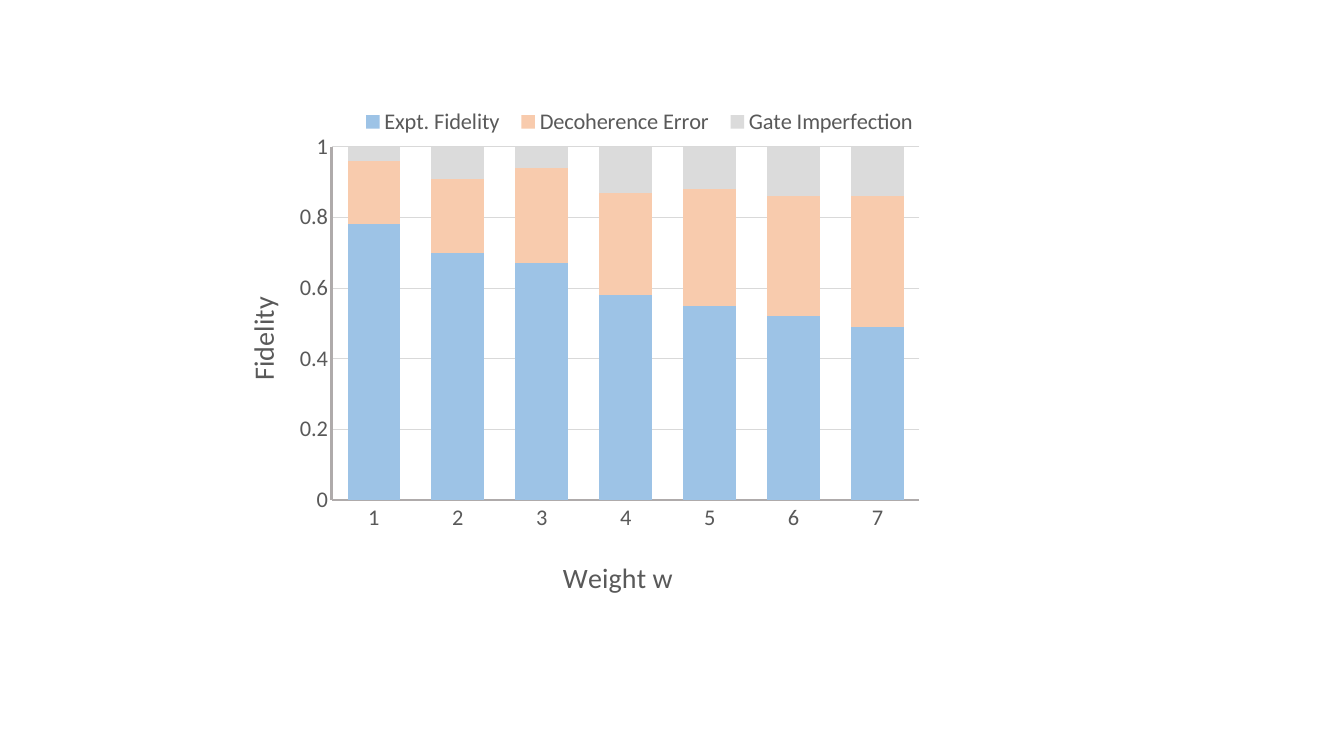
import pptx
import pptx.chart.data
import pptx.dml.color
import pptx.enum.chart
import pptx.oxml
import pptx.oxml.ns
import pptx.util

Cm, Pt = pptx.util.Cm, pptx.util.Pt
FONT = "Calibri"
TEXT, AXIS, GRID = "595959", "AFABAB", "D9D9D9"
WEIGHTS = ["1", "2", "3", "4", "5", "6", "7"]
SERIES = [
    ("Expt. Fidelity", "9DC3E6", (0.78, 0.70, 0.67, 0.58, 0.55, 0.52, 0.49)),
    ("Decoherence Error", "F8CBAD", (0.18, 0.21, 0.27, 0.29, 0.33, 0.34, 0.37)),
    ("Gate Imperfection", "DBDBDB", (0.04, 0.09, 0.06, 0.13, 0.12, 0.14, 0.14)),
]


def rgb(hex_color):
    """Turn a hex string into a colour."""
    return pptx.dml.color.RGBColor.from_string(hex_color)


def set_font(font, size, color=TEXT):
    """Set the face, size and colour of a font."""
    font.name, font.size, font.bold = FONT, Pt(size), False
    font.color.rgb = rgb(color)


def set_line(line, color, width):
    """Set the colour and width of a line."""
    line.color.rgb = rgb(color)
    line.width = Pt(width)


def set_layout(element, index, target=None, **fractions):
    """Place a chart part by fractions of the chart's size."""
    for old in element.xpath("c:layout"):
        element.remove(old)
    items = [("layoutTarget", target)] if target else []
    items += [(f"{key}Mode", "edge") for key in "xy"]
    items += fractions.items()
    body = "".join(f'<c:{tag} val="{value}"/>' for tag, value in items)
    ns = pptx.oxml.ns.nsdecls("c")
    xml = f"<c:layout {ns}><c:manualLayout>{body}</c:manualLayout></c:layout>"
    element.insert(index, pptx.oxml.parse_xml(xml))


def style_axis(axis, title, x, y):
    """Style an axis and place its title."""
    axis.major_tick_mark = axis.minor_tick_mark = pptx.enum.chart.XL_TICK_MARK.NONE
    set_font(axis.tick_labels.font, 16)
    set_line(axis.format.line, AXIS, 2)
    p = axis.axis_title.text_frame.paragraphs[0]
    p.text = title
    set_font(p.font, 20)
    set_layout(axis.axis_title.format.element if hasattr(axis.axis_title.format, "element")
               else axis.axis_title.element, 1, x=x, y=y)


def style_value_axis(axis):
    """Set the scale, gridlines and upright title of the value axis."""
    axis.minimum_scale, axis.maximum_scale, axis.major_unit = 0, 1, 0.2
    axis.tick_labels.number_format = "General"
    axis.tick_labels.number_format_is_linked = False
    axis.has_major_gridlines = True
    set_line(axis.major_gridlines.format.line, GRID, 0.75)
    for body in axis.axis_title.element.xpath(".//a:bodyPr"):
        body.set("rot", "-5400000")
        body.set("vert", "horz")


def add_fidelity_chart(slide):
    """Add the stacked columns of fidelity by weight."""
    data = pptx.chart.data.CategoryChartData()
    data.categories = WEIGHTS
    for name, _, values in SERIES:
        data.add_series(name, values)
    kind = pptx.enum.chart.XL_CHART_TYPE.COLUMN_STACKED
    chart = slide.shapes.add_chart(
        kind, Cm(5.64), Cm(2), Cm(17.91), Cm(13.39), data).chart
    chart.has_title = False
    set_font(chart.font, 10, "000000")

    plot = chart.plots[0]
    plot.gap_width, plot.overlap, plot.vary_by_categories = 60, 100, False
    for series, (_, color, _) in zip(plot.series, SERIES):
        series.format.fill.solid()
        series.format.fill.fore_color.rgb = rgb(color)

    style_axis(chart.category_axis, "Weight w", 0.47, 0.89)
    style_axis(chart.value_axis, "Fidelity", 0.02, 0.4)
    style_value_axis(chart.value_axis)

    chart.has_legend = True
    chart.legend.position = pptx.enum.chart.XL_LEGEND_POSITION.TOP
    chart.legend.include_in_layout = False
    set_font(chart.legend.font, 16)
    set_layout(chart.element.xpath(".//c:legend")[0], 1, x=0.18, y=0.04, w=0.81, h=0.08)
    set_layout(chart.element.xpath(".//c:plotArea")[0], 0, "inner",
               x=0.152, y=0.127, w=0.827, h=0.665)


def main():
    """Build the slide and save it."""
    prs = pptx.Presentation()
    prs.slide_width, prs.slide_height = Cm(33.87), Cm(19.05)
    slide = prs.slides.add_slide(prs.slide_layouts[6])
    add_fidelity_chart(slide)
    prs.save("out.pptx")


main()
